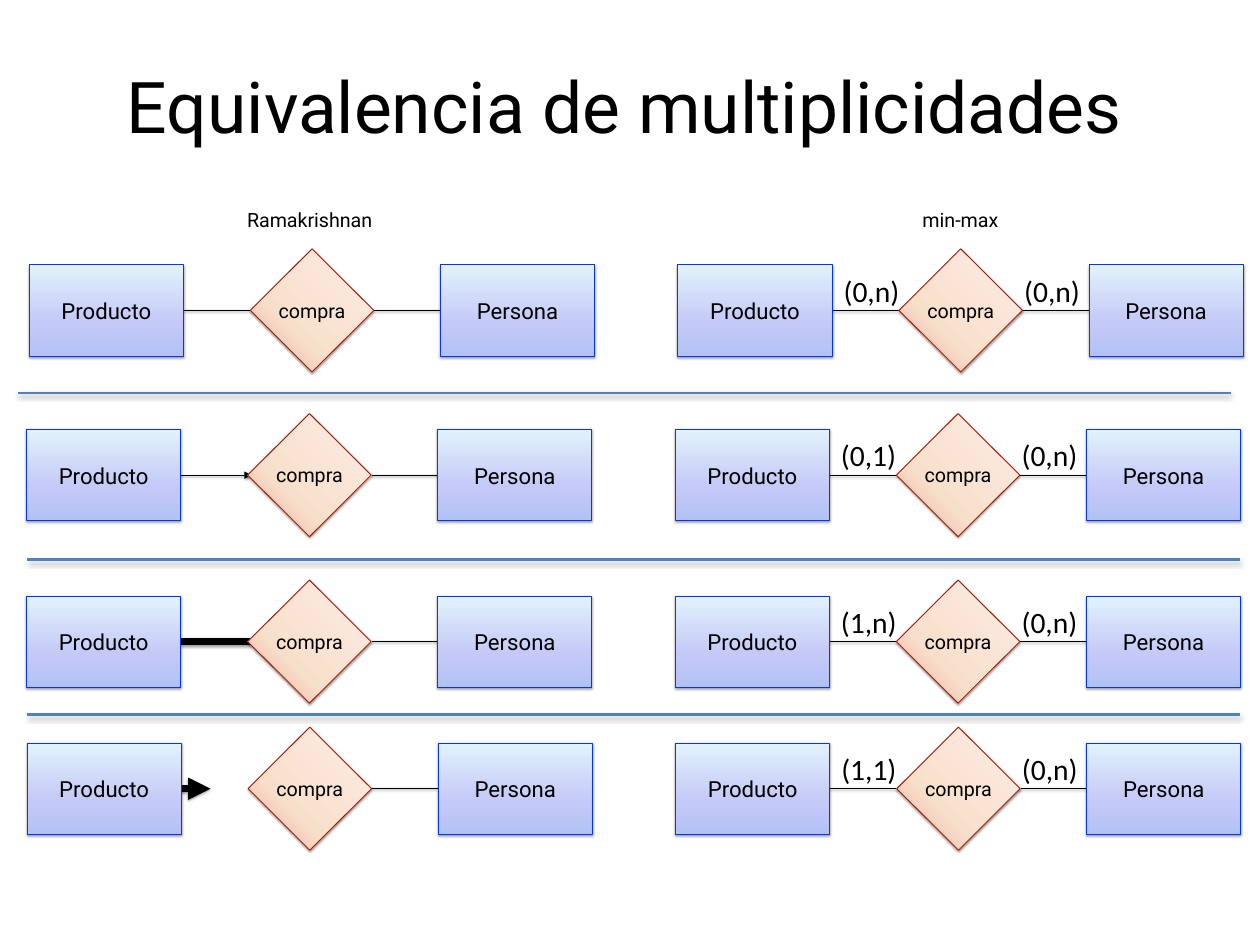
"""Draw the slide that pairs Ramakrishnan and min-max multiplicities."""
from copy import deepcopy
from dataclasses import dataclass
from typing import Any, NamedTuple

from lxml import etree
from pptx import Presentation
from pptx.dml.color import RGBColor
from pptx.enum.shapes import MSO_CONNECTOR, MSO_SHAPE
from pptx.enum.text import MSO_ANCHOR, MSO_AUTO_SIZE, PP_ALIGN
from pptx.oxml.ns import qn
from pptx.util import Emu, Inches, Pt

RECT, DIAMOND = MSO_SHAPE.RECTANGLE, MSO_SHAPE.DIAMOND
STRAIGHT = MSO_CONNECTOR.STRAIGHT
MIDDLE, TOP = MSO_ANCHOR.MIDDLE, MSO_ANCHOR.TOP
CENTER, LEFT = PP_ALIGN.CENTER, PP_ALIGN.LEFT
GROW, FIXED = MSO_AUTO_SIZE.SHAPE_TO_FIT_TEXT, MSO_AUTO_SIZE.NONE
WIDTH, HEIGHT = Inches(14.22), Inches(10.67)


class Look(NamedTuple):
    outline: str
    stops: tuple[tuple[float, str], ...]
    angle: float
    size: float


class Part(NamedTuple):
    text: str
    preset: Any
    look: Look
    dx: float
    w: float
    h: float


class Row(NamedTuple):
    x: float
    middle: float
    label: str
    link_end: float = 17.86
    link_width: float = 1
    arrow: bool = False


class Heading(NamedTuple):
    text: str
    x: float
    w: float


class Rule(NamedTuple):
    x: float
    y: float


@dataclass(frozen=True)
class Theme:
    ink: str = "000000"
    rule: str = "4F81BD"
    sans: str = "Roboto"
    label_font: str = "Calibri"
    title: float = 58
    label: float = 24
    heading: float = 16
    entity: Look = Look("0433FF", ((0, "B2C2F5"), (0.36, "C4C9F7"), (1, "E1F2FC")), 90, 18)
    relation: Look = Look("A01D04", ((0, "F5A09A"), (0.35, "F7E0CB"), (1, "FFEBE7")), 45, 16)


THEME = Theme()
PANEL_STEP = 51.48
BOX_W, PERSON_X, DIAMOND_RIGHT = 12.24, 32.63, 27.35
PARTS = (
    Part("Producto", RECT, THEME.entity, 0, BOX_W, 9.65),
    Part("compra", DIAMOND, THEME.relation, 17.55, 9.8, 13.03),
    Part("Persona", RECT, THEME.entity, PERSON_X, BOX_W, 9.65),
)
ROWS = (
    Row(2.32, 32.85, "(0,n)"),
    Row(2.11, 50.28, "(0,1)", arrow=True),
    Row(2.11, 67.9, "(1,n)", link_width=6),
    Row(2.14, 83.46, "(1,1)", 14.56, 6, True),
)
RULES = (Rule(1.41, 41.61), Rule(2.18, 59.23), Rule(2.18, 75.63))
HEADINGS = (Heading("Ramakrishnan", 19.13, 10.9), Heading("min-max", 72.71, 7.03))


def across(share: float) -> Emu:
    return Emu(round(WIDTH * share / 100))


def down(share: float) -> Emu:
    return Emu(round(HEIGHT * share / 100))


def add_shadow(shape: Any, blur: float, dist: float) -> None:
    effects = etree.SubElement(shape._element.spPr, qn("a:effectLst"))
    shadow = etree.SubElement(effects, qn("a:outerShdw"), blurRad=str(Pt(blur)),
                              dist=str(Pt(dist)), dir="5400000", rotWithShape="0")
    color = etree.SubElement(shadow, qn("a:srgbClr"), val=THEME.ink)
    etree.SubElement(color, qn("a:alpha"), val="38000")


def write(shape: Any, text: str, size: float, font: str = THEME.sans,
          inset: float = 0, align: Any = CENTER, anchor: Any = MIDDLE,
          fit: Any = FIXED, wrap: bool = False) -> Any:
    tf = shape.text_frame
    tf.margin_left = tf.margin_right = tf.margin_top = tf.margin_bottom = Inches(inset)
    tf.vertical_anchor, tf.word_wrap, tf.auto_size = anchor, wrap, fit
    tf.text = text
    p = tf.paragraphs[0]
    p.alignment = align
    p.font.size, p.font.name = Pt(size), font
    p.font.color.rgb = RGBColor.from_string(THEME.ink)
    return p


def add_line(s: Any, x1: float, x2: float, y: float, width: float = 1,
             color: str = THEME.ink, arrow: bool = False,
             blur: float = 2, dist: float = 1) -> None:
    line = s.shapes.add_connector(STRAIGHT, across(x1), down(y), across(x2), down(y))
    line.line.width = Pt(width)
    line.line.color.rgb = RGBColor.from_string(color)
    if arrow:
        etree.SubElement(line.line._get_or_add_ln(), qn("a:tailEnd"), type="triangle")
    add_shadow(line, blur, dist)


def add_part(s: Any, part: Part, x: float, middle: float) -> None:
    sp = s.shapes.add_shape(part.preset, across(x + part.dx), down(middle - part.h / 2),
                            across(part.w), down(part.h))
    sp.fill.gradient()
    sp.fill.gradient_angle = part.look.angle
    stops = sp._element.spPr.find(".//" + qn("a:gsLst"))
    stops.insert(1, deepcopy(stops[0]))
    for stop, (position, color) in zip(sp.fill.gradient_stops, part.look.stops):
        stop.position = position
        stop.color.rgb = RGBColor.from_string(color)
    sp.line.color.rgb = RGBColor.from_string(part.look.outline)
    sp.line.width = Pt(0.75)
    add_shadow(sp, 2, 1)
    write(sp, part.text, part.look.size)


def add_label(s: Any, text: str, x: float, middle: float) -> None:
    tb = s.shapes.add_textbox(across(x), down(middle - 4.64), across(5.56), down(4.4))
    write(tb, text, THEME.label, THEME.label_font, 0.07, LEFT, TOP, GROW)


def add_row(s: Any, row: Row) -> None:
    right = row.x + PANEL_STEP
    add_line(s, row.x + BOX_W, row.x + row.link_end, row.middle, row.link_width, arrow=row.arrow)
    add_line(s, row.x + DIAMOND_RIGHT, row.x + PERSON_X, row.middle)
    add_line(s, right + BOX_W, right + PERSON_X, row.middle)
    for x in (row.x, right):
        for part in PARTS:
            add_part(s, part, x, row.middle)
    add_label(s, row.label, right + 12.66, row.middle)
    add_label(s, "(0,n)", right + 27, row.middle)


def main() -> None:
    prs = Presentation()
    prs.slide_width, prs.slide_height = WIDTH, HEIGHT
    s = prs.slides.add_slide(prs.slide_layouts[5])
    title = s.shapes.title
    title.left, title.top = across(2.32), down(6.19)
    title.width, title.height = across(94.44), down(9.84)
    write(title, "Equivalencia de multiplicidades", THEME.title, inset=0.06, fit=GROW, wrap=True)
    for row in ROWS:
        add_row(s, row)
    for rule in RULES:
        add_line(s, rule.x + 96.27, rule.x, rule.y, 2, THEME.rule, blur=4, dist=2)
    for heading in HEADINGS:
        tb = s.shapes.add_textbox(across(heading.x), down(21.74), across(heading.w), down(3.28))
        p = write(tb, heading.text, THEME.heading, inset=0.06, fit=GROW)
        p.line_spacing = 0.9
    prs.save("out.pptx")


if __name__ == "__main__":
    main()
